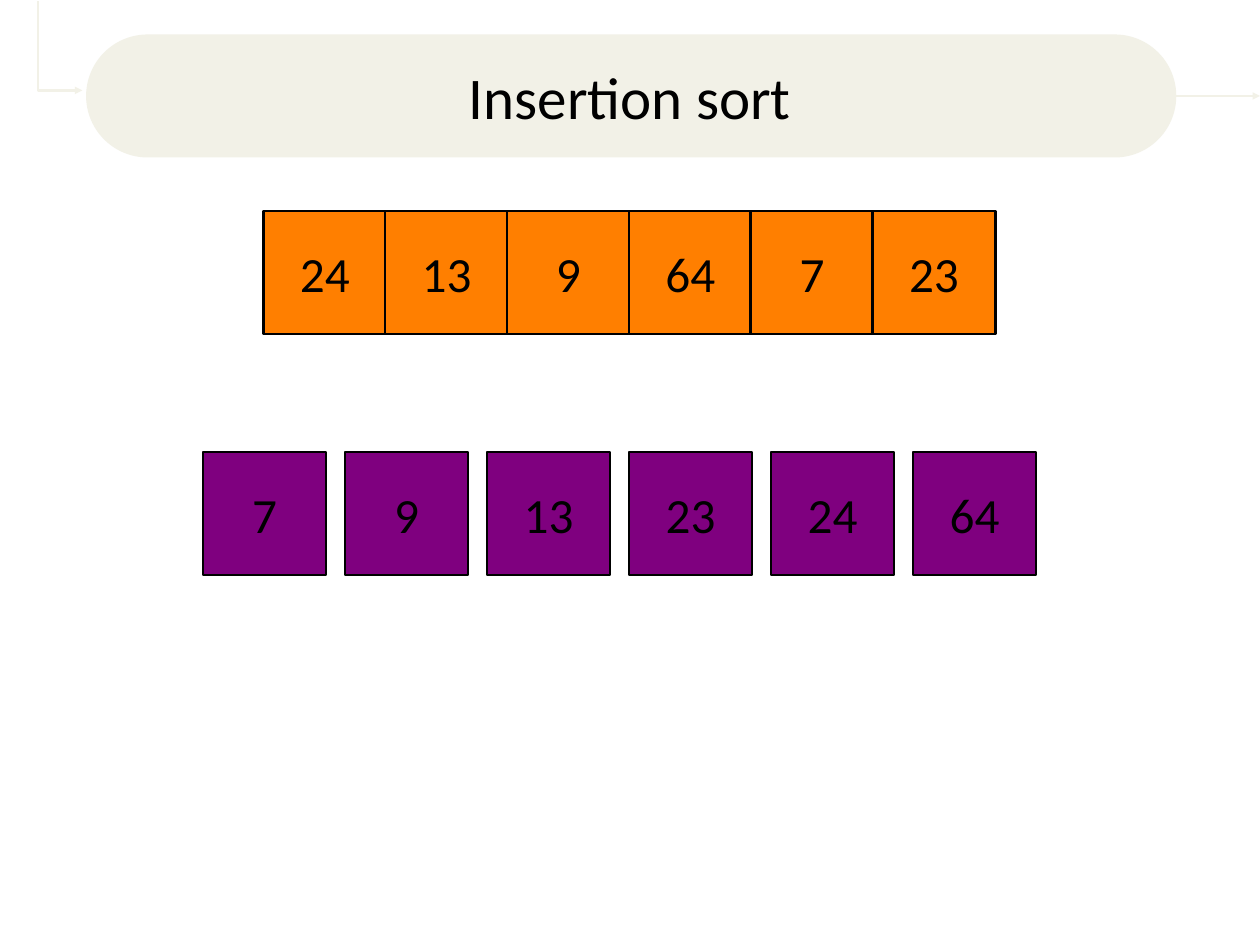
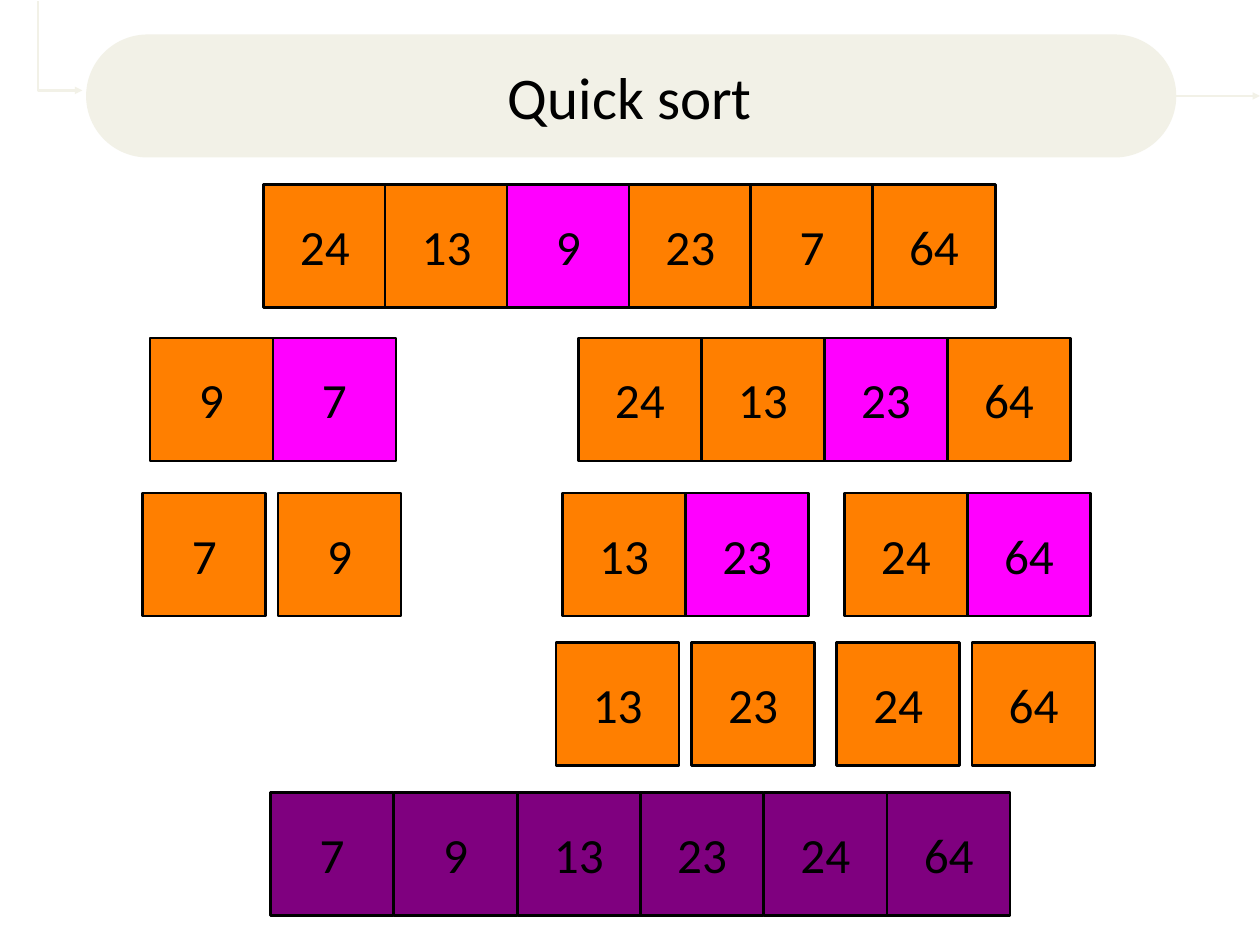
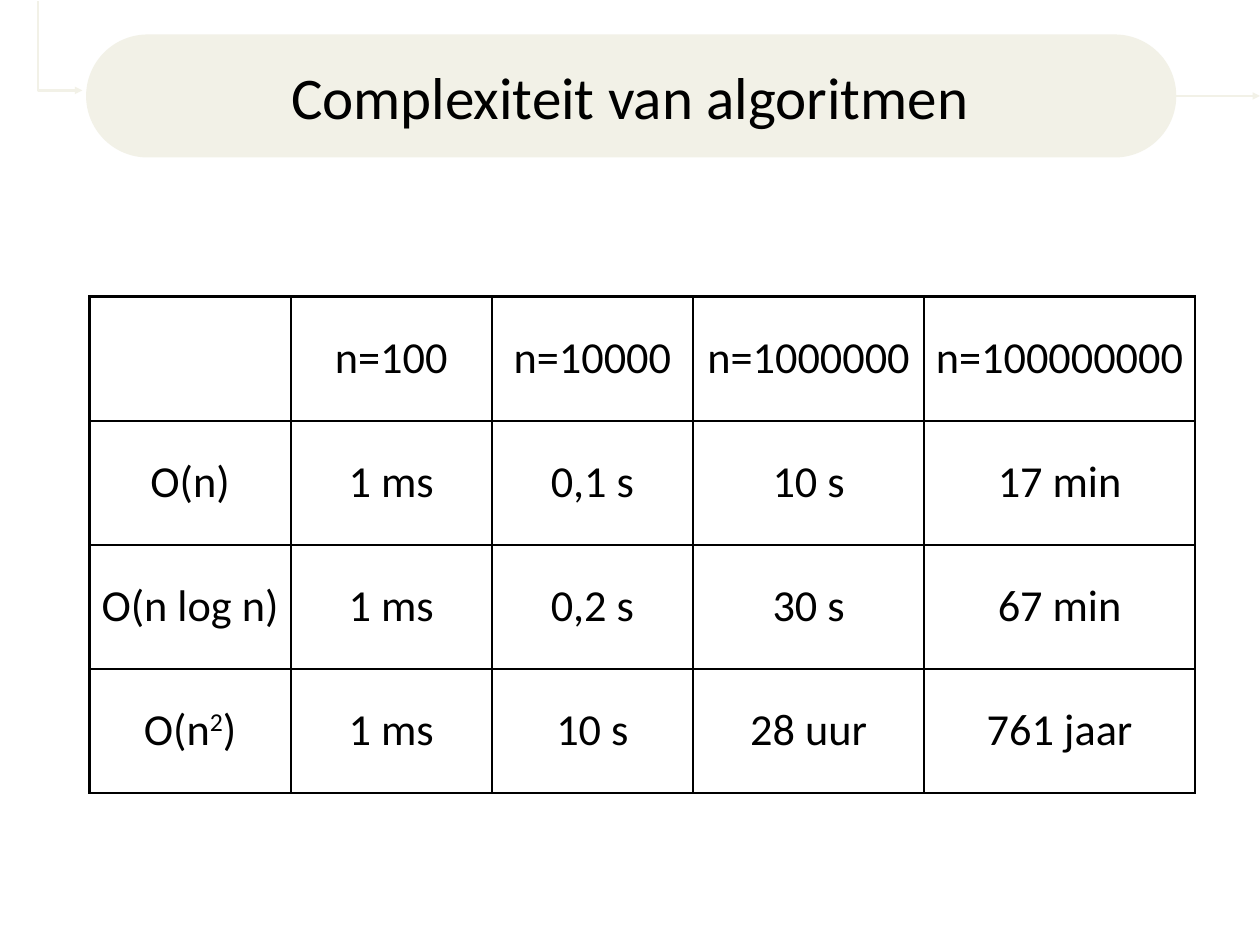
from lxml.etree import SubElement
from pptx import Presentation
from pptx.dml.color import RGBColor
from pptx.enum.shapes import MSO_CONNECTOR, MSO_SHAPE
from pptx.enum.text import MSO_ANCHOR, PP_ALIGN
from pptx.oxml.ns import qn
from pptx.util import Pt

COLOURS = {
    "band": "F2F1E7",
    "unsorted": "FF7F00",
    "pivot": "FF00FF",
    "sorted": "7F007F",
    "ink": "000000",
}
FONT = "Calibri"
WIDTH, HEIGHT = 1024, 768
SIDE = 100
LINE = 2


def colour(name):
    return RGBColor.from_string(COLOURS[name])


def write(holder, frame, text, size, inset):
    for edge in ("left", "top", "right", "bottom"):
        setattr(holder, f"margin_{edge}", Pt(inset))
    holder.vertical_anchor = MSO_ANCHOR.MIDDLE
    para = frame.paragraphs[0]
    para.alignment = PP_ALIGN.CENTER
    for index, piece in enumerate(text.split("^")):
        span = para.add_run()
        span.text = piece
        look = {"name": FONT, "size": Pt(size), "bold": False}
        for key, value in look.items():
            setattr(span.font, key, value)
        span.font.color.rgb = colour("ink")
        if index % 2:
            span._r.get_or_add_rPr().set("baseline", "32000")


SLIDES = [
    ("Insertion sort", [
        (214, 171.5, 99, "unsorted", [24, 13, 9, 64, 7, 23], None),
        (165, 367.5, 115.4, "sorted", [7, 9, 13, 23, 24, 64], None),
    ]),
    ("Quick sort", [
        (214, 150, 99, "unsorted", [24, 13, 9, 23, 7, 64], 2),
        (121.75, 274.5, 100, "unsorted", [9, 7], 1),
        (470, 274.5, 100, "unsorted", [24, 13, 23, 64], 2),
        (116, 400.5, 110, "unsorted", [7, 9], None),
        (457.25, 400.5, 100, "unsorted", [13, 23], 1),
        (686.25, 400.5, 100, "unsorted", [24, 64], 1),
        (452, 522, 110, "unsorted", [13, 23], None),
        (680, 522, 110, "unsorted", [24, 64], None),
        (220, 644, 100.2, "sorted", [7, 9, 13, 23, 24, 64], None),
    ]),
    ("Complexiteit van algoritmen", []),
]
TIMES = [
    ["", "n=100", "n=10000", "n=1000000", "n=100000000"],
    ["O(n)", "1 ms", "0,1 s", "10 s", "17 min"],
    ["O(n log n)", "1 ms", "0,2 s", "30 s", "67 min"],
    ["O(n^2^)", "1 ms", "10 s", "28 uur", "761 jaar"],
]
COLUMN_WIDTHS = [163.5, 163.5, 163.5, 188, 220]
ROW_HEIGHT = 100.8

deck = Presentation()
deck.slide_width, deck.slide_height = Pt(WIDTH), Pt(HEIGHT)

for title, rows in SLIDES:
    page = deck.slides.add_slide(deck.slide_layouts[6])

    band = page.shapes.add_shape(
        MSO_SHAPE.ROUNDED_RECTANGLE, Pt(70), Pt(28), Pt(886), Pt(100))
    band.adjustments[0] = 0.5
    band.shadow.inherit = False
    band.fill.solid()
    band.fill.fore_color.rgb = colour("band")
    band.line.fill.background()

    outline = page.shapes.build_freeform(Pt(31), Pt(1))
    outline.add_line_segments([(Pt(31), Pt(73.5)), (Pt(67), Pt(73.5))], close=False)
    entry = outline.convert_to_shape()
    entry.shadow.inherit = False
    entry.fill.background()

    leaving = page.shapes.add_connector(
        MSO_CONNECTOR.STRAIGHT, Pt(956), Pt(78), Pt(WIDTH), Pt(78))
    leaving.begin_connect(band, 3)

    for arrow in (entry, leaving):
        arrow.line.color.rgb = colour("band")
        arrow.line.width = Pt(LINE)
        SubElement(arrow.line._get_or_add_ln(), qn("a:tailEnd"), type="triangle")
    SubElement(leaving._element.spPr, qn("a:effectLst"))

    heading = page.shapes.add_textbox(Pt(69), Pt(20), Pt(886), Pt(115))
    heading.text_frame.word_wrap = True
    write(heading.text_frame, heading.text_frame, title, 48, 4)

    for left, top, pitch, fill, numbers, pivot in rows:
        for index, number in enumerate(numbers):
            box = page.shapes.add_shape(
                MSO_SHAPE.RECTANGLE, Pt(left + index * pitch), Pt(top), Pt(SIDE), Pt(SIDE))
            box.shadow.inherit = False
            box.fill.solid()
            box.fill.fore_color.rgb = colour("pivot" if index == pivot else fill)
            box.line.color.rgb = colour("ink")
            box.line.width = Pt(LINE)
            write(box.text_frame, box.text_frame, str(number), 40, 0)

table = page.shapes.add_table(
    len(TIMES), len(COLUMN_WIDTHS), Pt(72.75), Pt(241),
    Pt(sum(COLUMN_WIDTHS)), Pt(ROW_HEIGHT * len(TIMES))).table
table.first_row = table.horz_banding = False
for column, width in zip(table.columns, COLUMN_WIDTHS):
    column.width = Pt(width)
for row, texts in zip(table.rows, TIMES):
    row.height = Pt(ROW_HEIGHT)
    for cell, text in zip(row.cells, texts):
        properties = cell._tc.get_or_add_tcPr()
        for edge in ("lnL", "lnR", "lnT", "lnB"):
            border = SubElement(properties, qn(f"a:{edge}"), w=str(Pt(LINE)))
            paint = SubElement(border, qn("a:solidFill"))
            SubElement(paint, qn("a:srgbClr"), val=COLOURS["ink"])
        cell.fill.background()
        if text:
            write(cell, cell.text_frame, text, 36, 4)

deck.save("out.pptx")
